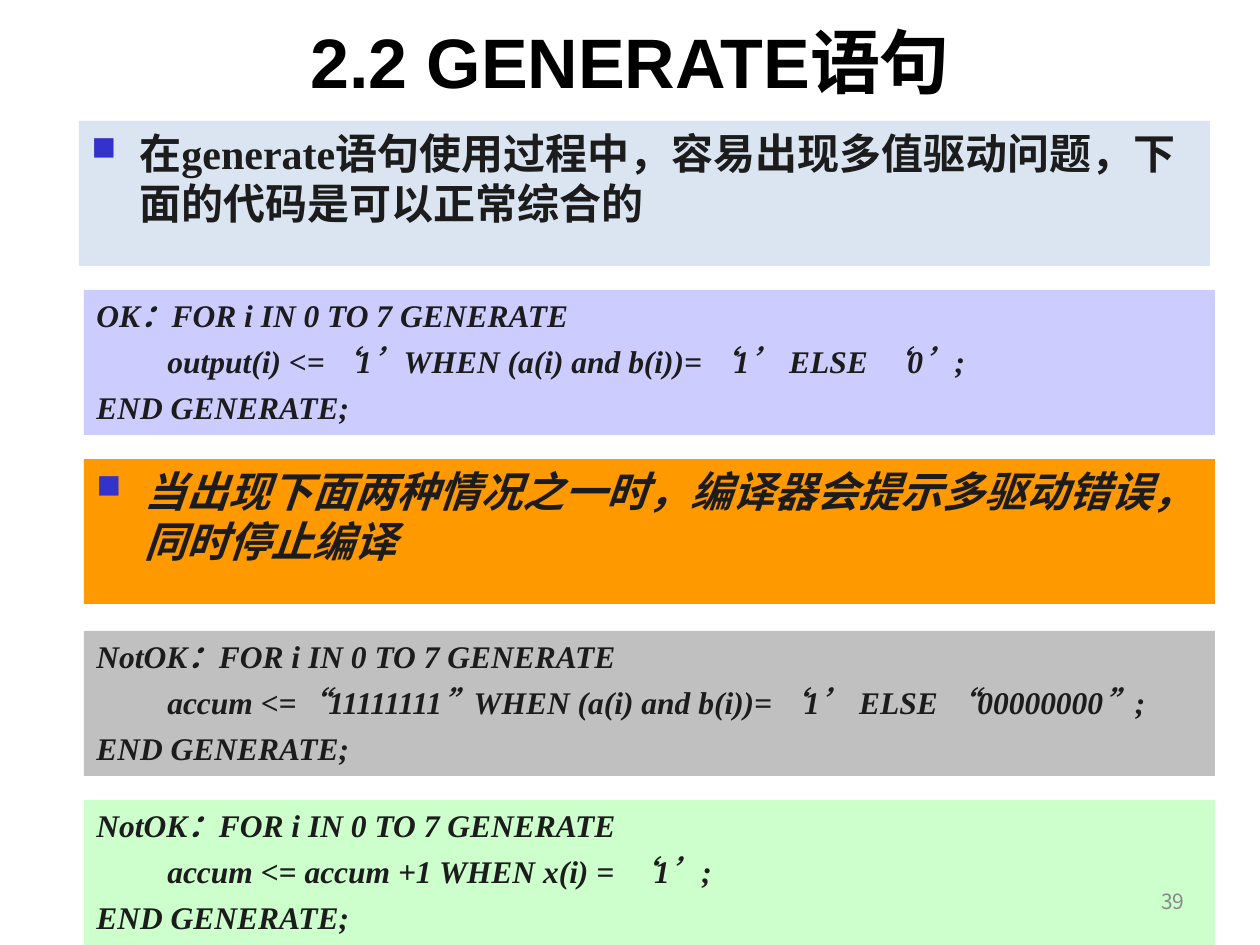
from itertools import groupby

from lxml import etree
from pptx import Presentation
from pptx import util as u
from pptx.dml.color import RGBColor
from pptx.enum import shapes, text
from pptx.oxml.ns import qn

PX = 914400 / 126
INK = RGBColor(0x1C, 0x1C, 0x1C)
BLACK = RGBColor(0x00, 0x00, 0x00)
GREY = RGBColor(0x89, 0x89, 0x89)
PALE_BLUE = RGBColor(0xDA, 0xE5, 0xF1)
LILAC = RGBColor(0xCC, 0xCC, 0xFF)
ORANGE = RGBColor(0xFF, 0x99, 0x00)
SILVER = RGBColor(0xC0, 0xC0, 0xC0)
MINT = RGBColor(0xCC, 0xFF, 0xCC)
BULLET = "3333CC"
SERIF, CJK = "Times New Roman", "Noto Sans CJK SC"
QUOTES = "“”‘’"


def place(*lengths):
    return [u.Emu(round(length * PX)) for length in lengths]


def style(span, size, name, color, bold=True, italic=False):
    font = span.font
    font.size, font.name = u.Pt(size), name
    font.bold, font.italic = bold, italic
    font.color.rgb = color
    etree.SubElement(font._element, qn("a:ea"), typeface=CJK)


deck = Presentation()
deck.slide_width, deck.slide_height = place(1260, 945)
page = deck.slides.add_slide(deck.slide_layouts[5])

# Title
title = page.shapes.title
title.left, title.top, title.width, title.height = place(63, -19, 1134, 158)
title.text_frame.text = "2.2 GENERATE语句"
title.text_frame.auto_size = text.MSO_AUTO_SIZE.NONE
title.text_frame.vertical_anchor = text.MSO_ANCHOR.MIDDLE
para = title.text_frame.paragraphs[0]
para.alignment = text.PP_ALIGN.CENTER
style(para.runs[0], 40, "Arial", BLACK)

# Panels: left, top, fill, bulleted, italic, lines
panels = [
    (79, 121, PALE_BLUE, True, False,
     ["在generate语句使用过程中，容易出现多值驱动问题，下面的代码是可以正常综合的"]),
    (84, 290, LILAC, False, True,
     ["OK：FOR i IN 0 TO 7 GENERATE",
      "output(i) <=‘1’WHEN (a(i) and b(i))=‘1’ ELSE ‘0’;",
      "END GENERATE;"]),
    (84, 459, ORANGE, True, True,
     ["当出现下面两种情况之一时，编译器会提示多驱动错误，同时停止编译"]),
    (84, 631, SILVER, False, True,
     ["NotOK：FOR i IN 0 TO 7 GENERATE",
      "accum <=“11111111”WHEN (a(i) and b(i))=‘1’ ELSE “00000000”;",
      "END GENERATE;"]),
    (84, 800, MINT, False, True,
     ["NotOK：FOR i IN 0 TO 7 GENERATE",
      "accum <= accum +1 WHEN x(i) = ‘1’;",
      "END GENERATE;"]),
]
for left, top, fill, bulleted, italic, lines in panels:
    box = page.shapes.add_shape(shapes.MSO_SHAPE.RECTANGLE, *place(left, top, 1131, 145))
    box.shadow.inherit = False
    box.fill.solid()
    box.fill.fore_color.rgb = fill
    box.line.fill.background()
    frame = box.text_frame
    frame.word_wrap = True
    frame.vertical_anchor = text.MSO_ANCHOR.TOP
    frame.text = "\n".join(lines)

    for index, para in enumerate(frame.paragraphs):
        para.alignment = text.PP_ALIGN.LEFT
        para.space_before = u.Pt(6 if bulleted else 4.5)

        # Hanging indent, or a deeper one for the body of the statement
        margin, indent = place(71, 0) if index == 1 else place(48, -48)
        props = para._p.get_or_add_pPr()
        props.set("marL", str(margin))
        props.set("indent", str(indent))
        if bulleted:
            color = etree.SubElement(props, qn("a:buClr"))
            etree.SubElement(color, qn("a:srgbClr"), val=BULLET)
            etree.SubElement(props, qn("a:buSzPct"), val="80000")
            etree.SubElement(props, qn("a:buChar"), char="■")

        # Quotation marks take the Chinese font
        para.text = ""
        for quoted, letters in groupby(lines[index], lambda letter: letter in QUOTES):
            span = para.add_run()
            span.text = "".join(letters)
            style(span, 24 if bulleted else 18, CJK if quoted else SERIF, INK, italic=italic)

# Page number
number = page.shapes.add_textbox(*place(903, 876, 294, 50))
number.text_frame.word_wrap = True
number.text_frame.vertical_anchor = text.MSO_ANCHOR.MIDDLE
number.text_frame.text = "39"
para = number.text_frame.paragraphs[0]
para.alignment = text.PP_ALIGN.RIGHT
para.space_before = u.Pt(3)
style(para.runs[0], 12, CJK, GREY, bold=False)

deck.save("out.pptx")
